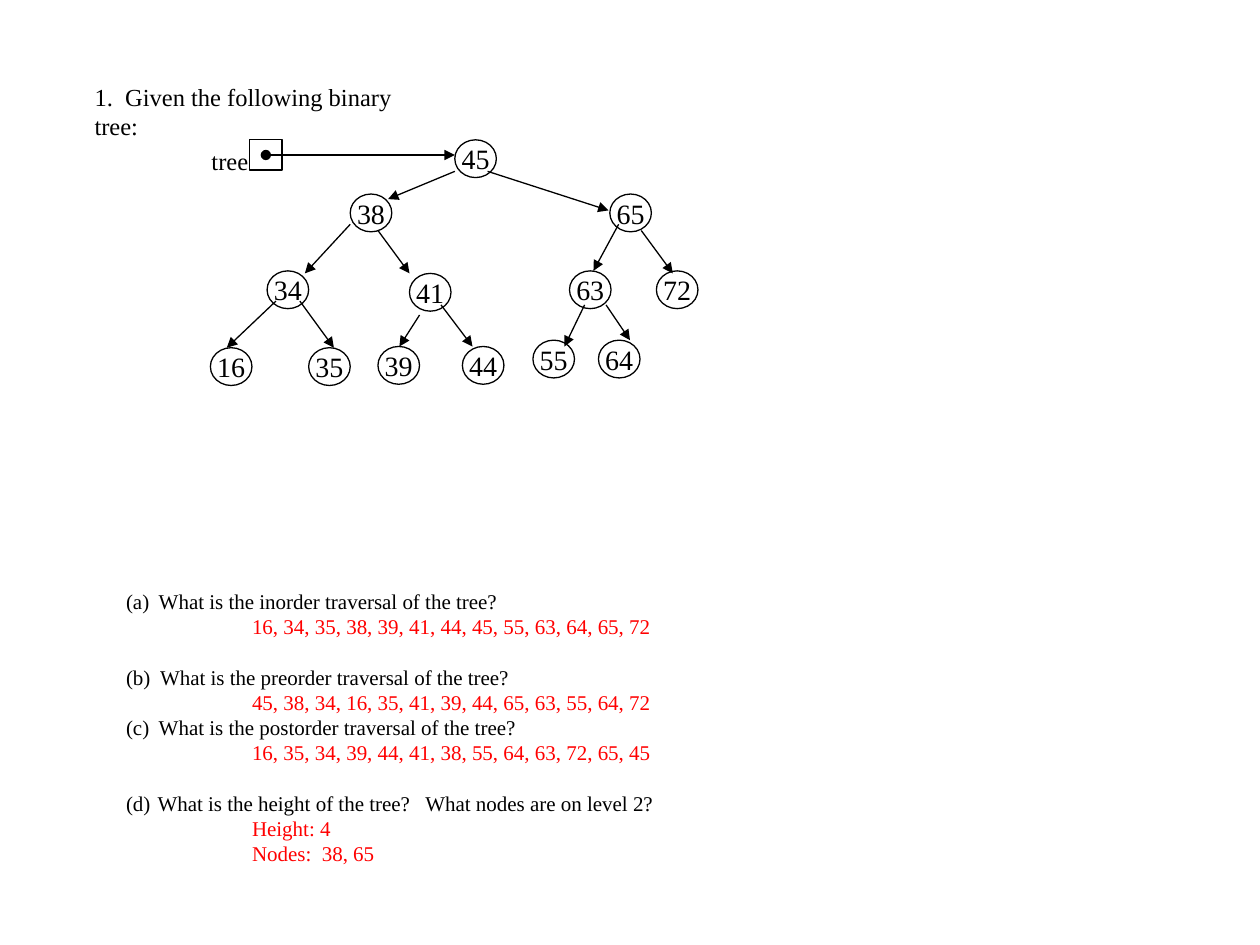
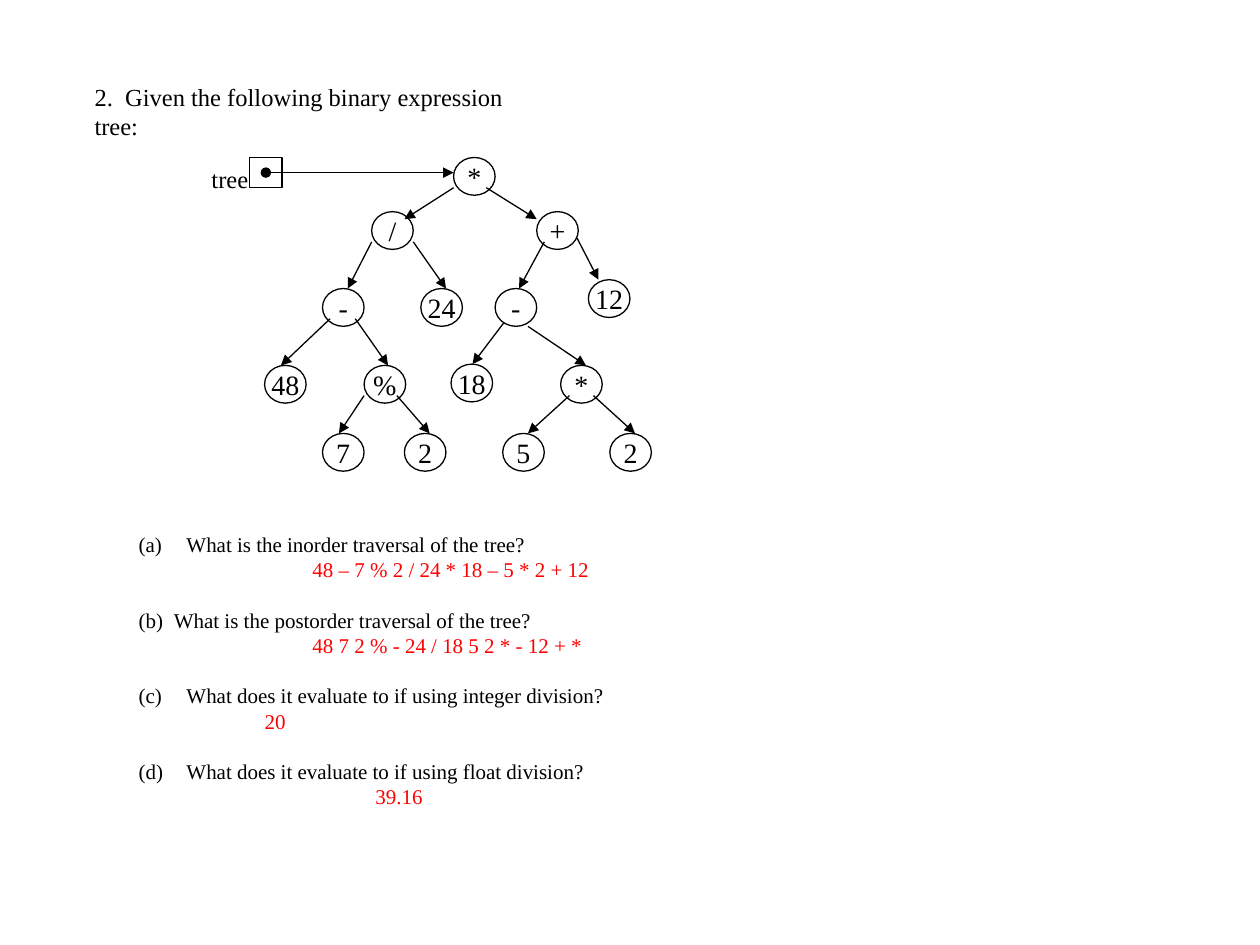
from lxml import etree
from pptx import Presentation
from pptx.dml.color import RGBColor
from pptx.enum.shapes import MSO_CONNECTOR, MSO_SHAPE
from pptx.enum.text import MSO_ANCHOR, MSO_AUTO_SIZE, PP_ALIGN
from pptx.oxml.ns import qn
from pptx.util import Cm, Pt

OVAL, SQUARE = MSO_SHAPE.OVAL, MSO_SHAPE.RECTANGLE
STRAIGHT = MSO_CONNECTOR.STRAIGHT
TOP, MIDDLE = MSO_ANCHOR.TOP, MSO_ANCHOR.MIDDLE
LEFT, CENTER = PP_ALIGN.LEFT, PP_ALIGN.CENTER
NO_FIT = MSO_AUTO_SIZE.NONE

BLACK = RGBColor(0x00, 0x00, 0x00)
RED = RGBColor(0xFF, 0x00, 0x00)
FONT = "Times New Roman"
BLANK_LINE = 14.4
NODE_WIDTH, NODE_HEIGHT = 0.33, 0.3
POINTER_LEFT, POINTER_WIDTH, POINTER_HEIGHT = 1.98, 0.26, 0.24

# nodes: label, left, top; edges: start x, y, end x, y; all in inches
# questions: gap before, text indent, question, answer indent, answers
PROBLEMS = [
    {
        "title": "1.  Given the following binary tree:",
        "title_width": 2.9,
        "nodes": [
            ("45", 3.61, 1.11),
            ("38", 2.78, 1.54), ("65", 4.84, 1.54),
            ("34", 2.12, 2.15), ("41", 3.25, 2.17),
            ("63", 4.52, 2.15), ("72", 5.21, 2.15),
            ("16", 1.67, 2.76), ("35", 2.45, 2.76),
            ("39", 3, 2.75), ("44", 3.67, 2.75),
            ("55", 4.23, 2.7), ("64", 4.75, 2.7),
        ],
        "edges": [
            (3.61, 1.36, 3.08, 1.58), (3.87, 1.36, 4.83, 1.67),
            (2.78, 1.78, 2.42, 2.17), (3, 1.83, 3.25, 2.17),
            (4.91, 1.78, 4.71, 2.15), (5.09, 1.83, 5.34, 2.17),
            (2.19, 2.39, 1.8, 2.76), (2.38, 2.39, 2.65, 2.76),
            (3.33, 2.5, 3.17, 2.75), (3.5, 2.42, 3.75, 2.75),
            (4.64, 2.42, 4.48, 2.75), (4.81, 2.42, 5, 2.7),
        ],
        "list_box": (0.9, 4.62, 4.75, 2.32),
        "questions": [
            (0, 0.26, "What is the inorder traversal of the tree?", 1,
             ["16, 34, 35, 38, 39, 41, 44, 45, 55, 63, 64, 65, 72"]),
            (BLANK_LINE, 0.27, "What is the preorder traversal of the tree?", 1,
             ["45, 38, 34, 16, 35, 41, 39, 44, 65, 63, 55, 64, 72"]),
            (0, 0.26, "What is the postorder traversal of the tree?", 1,
             ["16, 35, 34, 39, 44, 41, 38, 55, 64, 63, 72, 65, 45"]),
            (BLANK_LINE, 0.25,
             "What is the height of the tree?   What nodes are on level 2?", 1,
             ["Height: 4", "Nodes:  38, 65"]),
        ],
    },
    {
        "title": "2.  Given the following binary expression tree:",
        "title_width": 3.75,
        "nodes": [
            ("*", 3.6, 1.25),
            ("/", 2.95, 1.68), ("+", 4.26, 1.68),
            ("-", 2.56, 2.29), ("24", 3.34, 2.29),
            ("-", 3.93, 2.29), ("12", 4.67, 2.22),
            ("48", 2.1, 2.9), ("%", 2.89, 2.9),
            ("18", 3.58, 2.89), ("*", 4.45, 2.9),
            ("7", 2.56, 3.44), ("2", 3.21, 3.44),
            ("5", 3.99, 3.44), ("2", 4.84, 3.44),
        ],
        "edges": [
            (3.6, 1.49, 3.21, 1.74), (3.86, 1.49, 4.26, 1.74),
            (2.95, 1.92, 2.76, 2.29), (3.28, 1.92, 3.54, 2.29),
            (4.32, 1.92, 4.12, 2.29), (4.58, 1.89, 4.75, 2.22),
            (2.62, 2.53, 2.23, 2.9), (2.82, 2.53, 3.08, 2.9),
            (4, 2.56, 3.75, 2.89), (4.19, 2.59, 4.65, 2.9),
            (2.89, 3.14, 2.69, 3.44), (3.15, 3.14, 3.41, 3.44),
            (4.52, 3.14, 4.19, 3.44), (4.71, 3.14, 5.04, 3.44),
        ],
        "list_box": (1, 4.17, 4.3, 2.73),
        "questions": [
            (0, 0.38, "What is the inorder traversal of the tree?", 1.38,
             ["48 – 7 % 2 / 24 * 18 – 5 * 2 + 12"]),
            (BLANK_LINE, 0.28, "What is the postorder traversal of the tree?", 1.38,
             ["48 7 2 % - 24 / 18 5 2 * - 12 + *"]),
            (BLANK_LINE, 0.38, "What does it evaluate to if using integer division?", 1,
             ["20"]),
            (BLANK_LINE, 0.38, "What does it evaluate to if using float division?", 1.88,
             ["39.16"]),
        ],
    },
]


def inches(value):
    return Cm(value * 2.54)


def place(shape, left, top, width, height):
    shape.left, shape.top = inches(left), inches(top)
    shape.width, shape.height = inches(width), inches(height)


def prepare_frame(frame, anchor=TOP, wrap=True):
    frame.auto_size = NO_FIT
    frame.word_wrap = wrap
    frame.vertical_anchor = anchor


def write(para, text, size=12, color=BLACK, align=LEFT, before=0,
          indent=0, hanging=0, number=None):
    para.alignment = align
    para.line_spacing = 1.0
    para.space_before, para.space_after = Pt(before), Pt(0)
    span = para.add_run()
    span.text = text
    span.font.name, span.font.size = FONT, Pt(size)
    span.font.bold = False
    span.font.color.rgb = color
    properties = para._p.get_or_add_pPr()
    properties.set("marL", str(inches(indent)))
    properties.set("indent", str(-inches(hanging)))
    if number is None:
        etree.SubElement(properties, qn("a:buNone"))
    else:
        etree.SubElement(properties, qn("a:buAutoNum"),
                         type="alphaLcParenBoth", startAt=str(number))


def add_outline(group, kind, left, top, width, height):
    shape = group.shapes.add_shape(kind, inches(left), inches(top),
                                   inches(width), inches(height))
    shape.shadow.inherit = False
    shape.fill.background()
    shape.line.color.rgb = BLACK
    shape.line.width = Pt(0.75)
    return shape


def add_node(group, label, left, top):
    node = add_outline(group, OVAL, left, top, NODE_WIDTH, NODE_HEIGHT)
    frame = node.text_frame
    prepare_frame(frame, anchor=MIDDLE, wrap=False)
    write(frame.paragraphs[0], label, size=16, align=CENTER)


def add_arrow(group, start_x, start_y, end_x, end_y, head=None):
    arrow = group.shapes.add_connector(STRAIGHT, inches(start_x), inches(start_y),
                                       inches(end_x), inches(end_y))
    arrow.line.color.rgb = BLACK
    arrow.line.width = Pt(0.75)
    properties = arrow._element.spPr
    line = properties.find(qn("a:ln"))
    if head:
        etree.SubElement(line, qn("a:headEnd"), type=head)
    etree.SubElement(line, qn("a:tailEnd"), type="triangle")
    etree.SubElement(properties, qn("a:effectLst"))


def add_tree(page, nodes, edges):
    group = page.shapes.add_group_shape()
    for node in nodes:
        add_node(group, *node)
    for edge in edges:
        add_arrow(group, *edge)
    root_left, root_top = nodes[0][1:]
    add_outline(group, SQUARE, POINTER_LEFT, root_top, POINTER_WIDTH, POINTER_HEIGHT)
    box = group.shapes.add_textbox(inches(1.58), inches(root_top),
                                   inches(0.49), inches(0.33))
    prepare_frame(box.text_frame, wrap=False)
    write(box.text_frame.paragraphs[0], "tree", size=14)
    middle = root_top + POINTER_HEIGHT / 2
    add_arrow(group, POINTER_LEFT + POINTER_WIDTH / 2, middle,
              root_left, middle, head="oval")


def add_questions(frame, questions):
    prepare_frame(frame)
    para = frame.paragraphs[0]
    for number, (gap, indent, question, answer_indent, answers) in enumerate(questions, 1):
        if number > 1:
            para = frame.add_paragraph()
        write(para, question, before=gap, indent=indent, hanging=indent, number=number)
        for answer in answers:
            write(frame.add_paragraph(), answer, color=RED, indent=answer_indent)


deck = Presentation()
deck.slide_width, deck.slide_height = Cm(25.4), Cm(19.05)
for problem in PROBLEMS:
    page = deck.slides.add_slide(deck.slide_layouts[1])
    title, body = page.shapes.title, page.placeholders[1]
    place(title, 0.65, 0.6, problem["title_width"], 0.57)
    prepare_frame(title.text_frame)
    write(title.text_frame.paragraphs[0], problem["title"], size=14)
    place(body, *problem["list_box"])
    add_questions(body.text_frame, problem["questions"])
    add_tree(page, problem["nodes"], problem["edges"])
deck.save("out.pptx")
